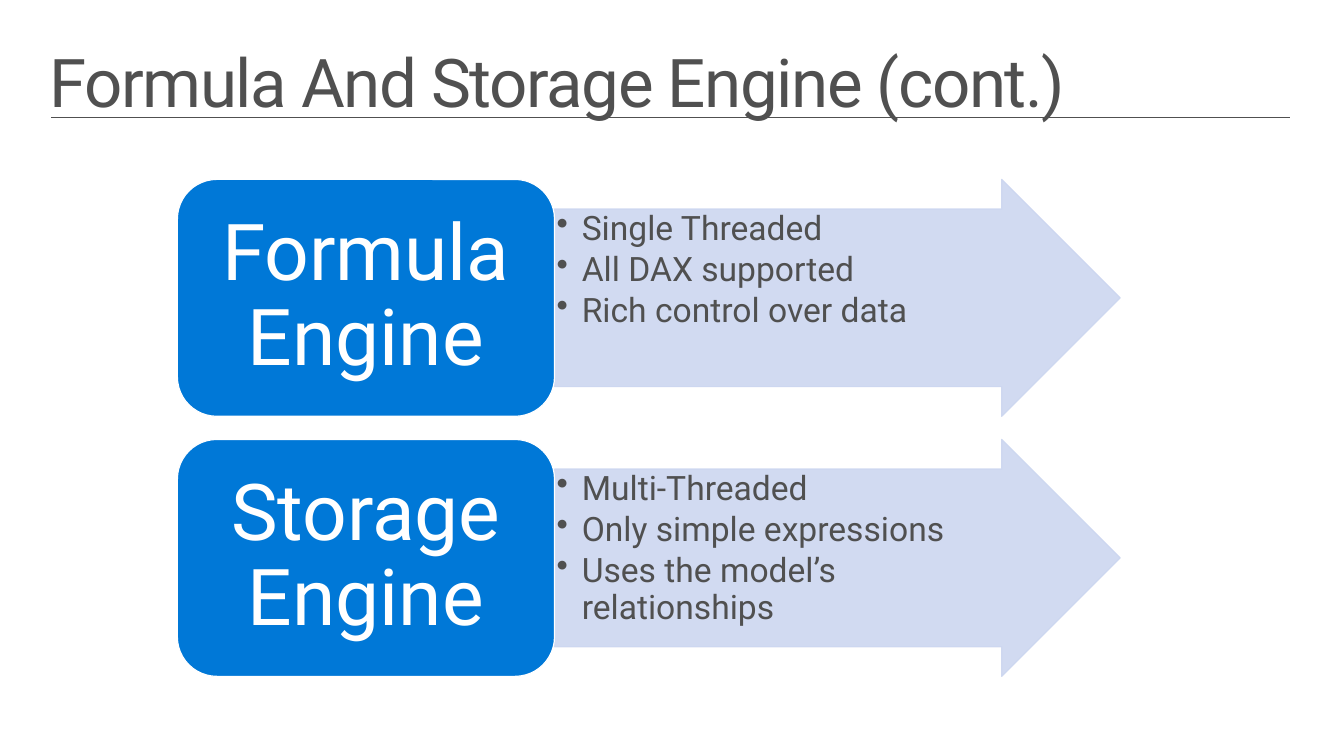
import dataclasses

import lxml.etree
import pptx
import pptx.dml.color
import pptx.enum.shapes
import pptx.enum.text
import pptx.oxml.ns
import pptx.util

PX = 9144  # EMU, 100 px to the inch
FONT = "Roboto"
GREY, BLUE, PALE_BLUE, WHITE = "505050", "0078D7", "CCD6F0", "FFFFFF"

ENGINE_LEFT, ENGINE_WIDTH, ARROW_WIDTH = 176, 374, 561
ROW_TOP, ROW_HEIGHT, ROW_PITCH = 178, 235, 258

Anchor = pptx.enum.text.MSO_ANCHOR
Align = pptx.enum.text.PP_ALIGN
Preset = pptx.enum.shapes.MSO_SHAPE


@dataclasses.dataclass(frozen=True)
class Engine:
    name: str
    traits: tuple[str, ...]


ENGINES = (
    Engine("Formula Engine",
           ("Single Threaded", "All DAX supported", "Rich control over data")),
    Engine("Storage Engine",
           ("Multi-Threaded", "Only simple expressions", "Uses the model’s relationships")),
)


def px(length: int) -> int:
    return pptx.util.Emu(length * PX)


def rgb(colour: str) -> pptx.dml.color.RGBColor:
    return pptx.dml.color.RGBColor.from_string(colour)


def add_child(parent, tag: str, **attributes: str):
    child = lxml.etree.SubElement(parent, pptx.oxml.ns.qn(tag))
    for key, value in attributes.items():
        child.set(key, value)
    return child


def set_frame(frame, anchor, insets: tuple[int, int, int, int]) -> None:
    """Apply anchor and insets (left, top, right, bottom)."""
    frame.word_wrap = True
    frame.auto_size = pptx.enum.text.MSO_AUTO_SIZE.NONE
    frame.vertical_anchor = anchor
    (frame.margin_left, frame.margin_top,
     frame.margin_right, frame.margin_bottom) = map(px, insets)


def set_paragraph(paragraph, size: int, colour: str, align) -> None:
    paragraph.alignment = align
    paragraph.line_spacing = 0.9
    paragraph.space_before = pptx.util.Pt(0)
    paragraph.font.name = FONT
    paragraph.font.size = pptx.util.Pt(size)
    paragraph.font.color.rgb = rgb(colour)


def add_bullet(paragraph) -> None:
    properties = paragraph._p.get_or_add_pPr()
    properties.set("marL", str(px(25)))
    properties.set("indent", str(-px(25)))
    bullet = lxml.etree.Element(pptx.oxml.ns.qn("a:buChar"))
    bullet.set("char", "•")
    properties.find(pptx.oxml.ns.qn("a:defRPr")).addprevious(bullet)


def add_block(slide, preset, left: int, top: int, width: int, fill: str, line: str):
    block = slide.shapes.add_shape(preset, px(left), px(top), px(width), px(ROW_HEIGHT))
    block.shadow.inherit = False
    block.fill.solid()
    block.fill.fore_color.rgb = rgb(fill)
    block.line.color.rgb = rgb(line)
    block.line.width = pptx.util.Pt(0.85)
    return block


def add_title(slide, text: str) -> None:
    title = slide.shapes.title
    title.left, title.top, title.width, title.height = map(px, (29, 39, 1275, 79))
    frame = title.text_frame
    frame.text = text
    set_frame(frame, Anchor.TOP, (20, 10, 16, 10))
    set_paragraph(frame.paragraphs[0], 48, GREY, Align.LEFT)
    frame.paragraphs[0].runs[0].font._element.set("spc", "-100")


def add_title_rule(slide) -> None:
    rule = slide.shapes.add_connector(
        pptx.enum.shapes.MSO_CONNECTOR.STRAIGHT, px(51), px(117), px(1279), px(117))
    rule.line.color.rgb = rgb(GREY)
    rule.line.width = pptx.util.Pt(0.75)
    add_child(rule._element.spPr, "a:effectLst")


def add_traits_arrow(slide, traits: tuple[str, ...], top: int) -> None:
    arrow = add_block(slide, Preset.RIGHT_ARROW, ENGINE_LEFT + ENGINE_WIDTH, top,
                      ARROW_WIDTH, PALE_BLUE, PALE_BLUE)
    arrow.adjustments[0] = 0.75
    arrow.adjustments[1] = 0.5
    for colour in arrow._element.spPr.iter(pptx.oxml.ns.qn("a:srgbClr")):
        add_child(colour, "a:alpha", val="90000")
    frame = arrow.text_frame
    set_frame(frame, Anchor.TOP, (2, 2, 2, 2))
    frame.text = "\n".join(traits)
    for paragraph in frame.paragraphs:
        paragraph.level = 1
        set_paragraph(paragraph, 24, GREY, Align.LEFT)
        paragraph.space_after = pptx.util.Pt(3.6)
        add_bullet(paragraph)


def add_engine_box(slide, name: str, top: int) -> None:
    box = add_block(slide, Preset.ROUNDED_RECTANGLE, ENGINE_LEFT, top,
                    ENGINE_WIDTH, BLUE, WHITE)
    frame = box.text_frame
    set_frame(frame, Anchor.MIDDLE, (23, 12, 23, 12))
    frame.text = name
    set_paragraph(frame.paragraphs[0], 56, WHITE, Align.CENTER)


def main() -> None:
    deck = pptx.Presentation()
    deck.slide_width, deck.slide_height = px(1333), px(750)
    slide = deck.slides.add_slide(deck.slide_layouts.get_by_name("Title Only"))
    add_title_rule(slide)
    add_title(slide, "Formula And Storage Engine (cont.)")
    for row, engine in enumerate(ENGINES):
        top = ROW_TOP + row * ROW_PITCH
        add_traits_arrow(slide, engine.traits, top)
        add_engine_box(slide, engine.name, top)
    deck.save("out.pptx")


if __name__ == "__main__":
    main()
